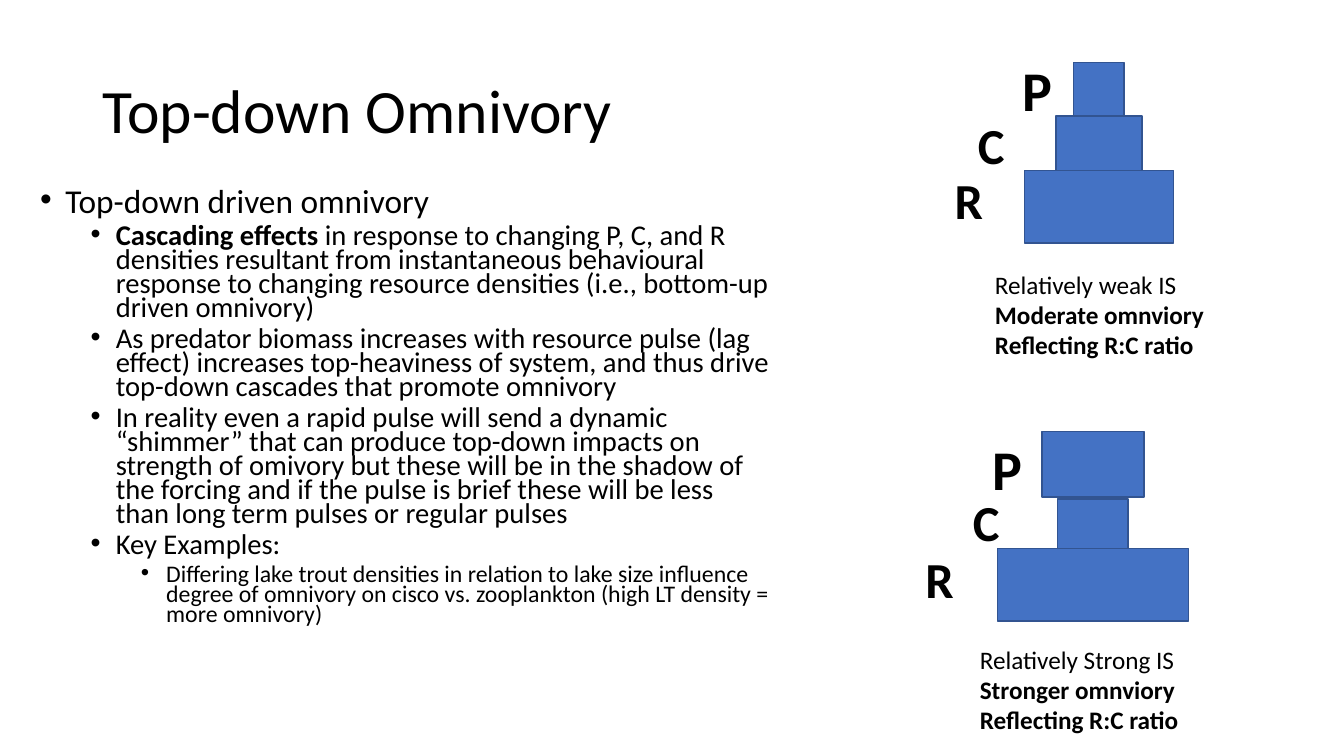
from dataclasses import dataclass

from pptx import Presentation, util as u
from pptx.dml.color import RGBColor
from pptx.enum import shapes, text
from pptx.oxml import parse_xml
from pptx.oxml.ns import nsdecls


@dataclass(frozen=True)
class Theme:
    font: str = "Calibri"
    ink: str = "000000"
    fill: str = "4472C4"
    outline: str = "325491"
    title: float = 44
    levels: tuple = (23.8, 20.4, 17)
    predator: float = 40
    letter: float = 36
    caption: float = 18


THEME = Theme()
COLUMNS, ROWS = 13.33, 7.5  # grid cells are one inch square
INDENT = 0.25

BULLETS = [
    (0, [("Top-down driven omnivory", False)]),
    (1, [("Cascading effects ", True),
         ("in response to changing P, C, and R densities resultant from "
          "instantaneous behavioural response to changing resource densities "
          "(i.e., bottom-up driven omnivory)", False)]),
    (1, [("As predator biomass increases with resource pulse (lag effect) "
          "increases top-heaviness of system, and thus drive top-down cascades "
          "that promote omnivory", False)]),
    (1, [("In reality even a rapid pulse will send a dynamic “shimmer” that can "
          "produce top-down impacts on strength of omivory but these will be in "
          "the shadow of the forcing and if the pulse is brief these will be "
          "less than long term pulses or regular pulses", False)]),
    (1, [("Key Examples:", False)]),
    (2, [("Differing lake trout densities in relation to lake size influence "
          "degree of omnivory on cisco vs. zooplankton (high LT density = more "
          "omnivory)", False)]),
]

# Tier: width, height, gap below. Letter: offset from axis and pyramid top.
PYRAMIDS = [
    dict(axis=10.9, top=0.62,
         tiers=[(0.5, 0.53, 0), (0.85, 0.54, 0), (1.48, 0.72, 0)],
         letters=[("P", -0.86, -0.12), ("C", -1.3, 0.46), ("R", -1.53, 1.01)],
         caption_at=(-1.13, 2.0),
         caption=["Relatively weak IS", "Moderate omnviory", "Reflecting R:C ratio"]),
    dict(axis=10.84, top=4.28,
         tiers=[(1.01, 0.65, 0.02), (0.7, 0.49, 0), (1.89, 0.72, 0)],
         letters=[("P", -1.09, -0.02), ("C", -1.29, 0.54), ("R", -1.76, 1.11)],
         caption_at=(-1.22, 2.06),
         caption=["Relatively Strong IS", "Stronger omnviory", "Reflecting R:C ratio"]),
]


def place(box):
    return [u.Inches(length) for length in box]


def write(paragraph, words, size, bold=False):
    run = paragraph.add_run()
    run.text = words
    run.font.name = THEME.font
    run.font.size = u.Pt(size)
    run.font.bold = bold
    run.font.color.rgb = RGBColor.from_string(THEME.ink)


def add_text(parent, box, paragraphs, size=None, anchor=text.MSO_ANCHOR.TOP,
             spacing=None, bulleted=False):
    """Add (level, runs) paragraphs; without a size, the level sets it."""
    frame = parent.add_textbox(*place(box)).text_frame
    frame.word_wrap = True
    frame.vertical_anchor = anchor
    for index, (level, runs) in enumerate(paragraphs):
        paragraph = frame.paragraphs[0] if index == 0 else frame.add_paragraph()
        paragraph.level = level
        if spacing:
            paragraph.line_spacing = spacing
        if bulleted:
            add_bullet(paragraph, level)
        for words, bold in runs:
            write(paragraph, words, size or THEME.levels[level], bold)


def add_bullet(paragraph, level):
    paragraph.space_before = u.Pt(5 if level else 10)
    properties = paragraph._p.get_or_add_pPr()
    properties.set("marL", str(u.Inches(INDENT * (1 + 2 * level))))
    properties.set("indent", str(-u.Inches(INDENT)))
    properties.append(parse_xml(f'<a:buFont {nsdecls("a")} typeface="Arial"/>'))
    properties.append(parse_xml(f'<a:buChar {nsdecls("a")} char="•"/>'))


def add_tier(parent, box):
    tier = parent.add_shape(shapes.MSO_SHAPE.RECTANGLE, *place(box))
    tier.shadow.inherit = False
    tier.fill.solid()
    tier.fill.fore_color.rgb = RGBColor.from_string(THEME.fill)
    tier.line.color.rgb = RGBColor.from_string(THEME.outline)
    tier.line.width = u.Pt(1)


def add_pyramid(slide, axis, top, tiers, letters, caption_at, caption):
    parent = slide.shapes.add_group_shape().shapes
    tier_top = top
    for width, height, gap in tiers:
        add_tier(parent, (axis - width / 2, tier_top, width, height))
        tier_top += height + gap
    for letter, across, down in letters:
        size = THEME.predator if letter == "P" else THEME.letter
        add_text(parent, (axis + across, top + down, 0.6, 0.75),
                 [(0, [(letter, True)])], size=size)
    across, down = caption_at
    lines = [(0, [(line, index > 0)]) for index, line in enumerate(caption)]
    add_text(parent, (axis + across, top + down, 2.5, 1.01), lines,
             size=THEME.caption)


def main():
    presentation = Presentation()
    presentation.slide_width, presentation.slide_height = place((COLUMNS, ROWS))
    slide = presentation.slides.add_slide(presentation.slide_layouts[6])
    add_text(slide.shapes, (0.92, 0.4, 11.5, 1.45),
             [(0, [("Top-down Omnivory", False)])], size=THEME.title,
             anchor=text.MSO_ANCHOR.MIDDLE, spacing=0.9)
    add_text(slide.shapes, (0.3, 1.85, 7.45, 4.76), BULLETS,
             spacing=0.7, bulleted=True)
    for pyramid in PYRAMIDS:
        add_pyramid(slide, **pyramid)
    presentation.save("out.pptx")


if __name__ == "__main__":
    main()
